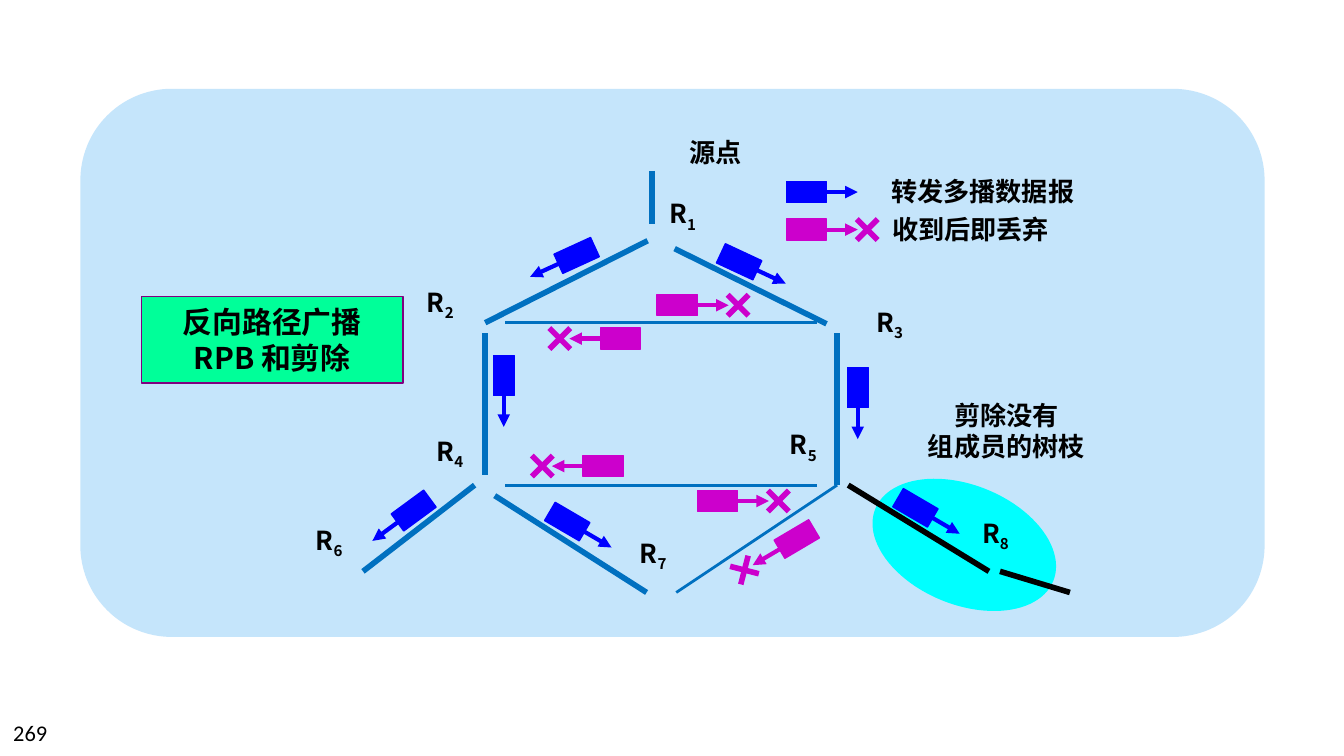
import math

import pptx
import pptx.dml.color
import pptx.enum.shapes
import pptx.enum.text
import pptx.oxml.ns
import pptx.util
from lxml import etree
from pptx.util import Cm

RGBColor = pptx.dml.color.RGBColor
SHAPE = pptx.enum.shapes.MSO_SHAPE
ALIGN = pptx.enum.text.PP_ALIGN
ANCHOR = pptx.enum.text.MSO_ANCHOR
qn = pptx.oxml.ns.qn

BLACK = RGBColor(0x00, 0x00, 0x00)
PANEL = RGBColor(0xC5, 0xE5, 0xFB)
CYAN = RGBColor(0x00, 0xFF, 0xFF)
LINK = RGBColor(0x00, 0x70, 0xC0)
FORWARD = RGBColor(0x00, 0x00, 0xFF)
DISCARD = RGBColor(0xCC, 0x00, 0xCC)
GREEN = RGBColor(0x00, 0xFF, 0x99)
PURPLE = RGBColor(0x80, 0x00, 0x80)
CJK = "Noto Sans CJK SC"

presentation = pptx.Presentation()
presentation.slide_width = Cm(25.4)
presentation.slide_height = Cm(14.29)
slide = presentation.slides.add_slide(presentation.slide_layouts[6])


def add_line(x1, y1, x2, y2, color, width, arrow=False):
    line = slide.shapes.add_connector(
        pptx.enum.shapes.MSO_CONNECTOR.STRAIGHT, Cm(x1), Cm(y1), Cm(x2), Cm(y2))
    line.line.color.rgb = color
    line.line.width = pptx.util.Pt(width)
    if arrow:
        etree.SubElement(line.line._get_or_add_ln(), qn("a:tailEnd"), type="triangle")
    etree.SubElement(line._element.spPr, qn("a:effectLst"))


def add_run(paragraph, text, size, font=CJK, bold=True, subscript=False):
    run = paragraph.add_run()
    run.text = text
    run.font.size = pptx.util.Pt(size)
    run.font.bold = bold
    run.font.name = font
    run.font.color.rgb = BLACK
    properties = run.font._element
    etree.SubElement(properties, qn("a:ea"), typeface=font)
    if subscript:
        properties.set("baseline", "-25000")


# Panel and the pruned branch area
panel = slide.shapes.add_shape(
    SHAPE.ROUNDED_RECTANGLE, Cm(1.52), Cm(1.68), Cm(22.38), Cm(10.36))
pruned_area = slide.shapes.add_shape(
    SHAPE.OVAL, Cm(16.41), Cm(9.17), Cm(3.63), Cm(2.26))
pruned_area.rotation = 22.1
for area, color in ((panel, PANEL), (pruned_area, CYAN)):
    area.shadow.inherit = False
    area.fill.solid()
    area.fill.fore_color.rgb = color
    area.line.fill.background()

# Links between routers
for x1, y1, x2, y2, color, width in (
    (12.32, 3.23, 12.32, 4.24, LINK, 3),      # source to R1
    (9.17, 6.1, 12.24, 4.55, LINK, 3),        # R2 to R1
    (12.75, 4.7, 15.62, 6.12, LINK, 3),       # R1 to R3
    (9.55, 6.1, 15.44, 6.1, LINK, 1.5),       # R2 to R3
    (9.17, 6.3, 9.17, 8.97, LINK, 3),         # R2 to R4
    (15.82, 6.3, 15.82, 9.17, LINK, 3),       # R3 to R5
    (9.55, 9.17, 15.44, 9.17, LINK, 1.5),     # R4 to R5
    (8.97, 9.17, 6.86, 10.8, LINK, 3),        # R4 to R6
    (9.35, 9.37, 12.22, 11.2, LINK, 3),       # R4 to R7
    (15.82, 9.17, 12.78, 11.2, LINK, 1.5),    # R5 to R7
    (16.03, 9.17, 18.69, 10.8, BLACK, 3),     # R5 to R8
    (18.9, 10.8, 20.22, 11.2, BLACK, 3),      # beyond R8
):
    add_line(x1, y1, x2, y2, color, width)

# Datagrams: centre and direction; discarded ones end in a cross
for x, y, angle, color in (
    (15.24, 3.63, 0, FORWARD),                # legend
    (10.9, 4.83, 155.4, FORWARD),
    (13.97, 4.95, 25, FORWARD),
    (9.52, 7.1, 90, FORWARD),
    (16.21, 7.33, 90, FORWARD),
    (7.82, 9.65, 143.7, FORWARD),
    (10.72, 9.86, 30.3, FORWARD),
    (17.3, 9.6, 30.3, FORWARD),
    (15.24, 4.34, 0, DISCARD),                # legend
    (12.8, 5.77, 0, DISCARD),
    (11.73, 6.4, 180, DISCARD),
    (11.4, 8.81, 180, DISCARD),
    (13.56, 9.47, 0, DISCARD),
    (15.06, 10.19, 149.4, DISCARD),
):
    datagram = slide.shapes.add_shape(
        SHAPE.RECTANGLE, Cm(x - 0.38), Cm(y - 0.2), Cm(0.76), Cm(0.4))
    datagram.rotation = (angle - 180) % 360 if angle > 90 else angle
    datagram.shadow.inherit = False
    datagram.fill.solid()
    datagram.fill.fore_color.rgb = color
    datagram.line.color.rgb = color
    datagram.line.width = pptx.util.Pt(0.75)
    dx, dy = math.cos(math.radians(angle)), math.sin(math.radians(angle))
    add_line(x - 0.18 * dx, y - 0.18 * dy, x + 0.97 * dx, y + 0.97 * dy,
             color, 2.25, arrow=True)
    if color == DISCARD:
        cross_x, cross_y = x + 1.15 * dx, y + 1.15 * dy
        for turn in (45, 135):
            arm_x = 0.28 * math.cos(math.radians(angle + turn))
            arm_y = 0.28 * math.sin(math.radians(angle + turn))
            add_line(cross_x - arm_x, cross_y - arm_y,
                     cross_x + arm_x, cross_y + arm_y, color, 3)

# Labels: a second run in a paragraph is the router's subscript
routers = ((12.4, 3.61), (7.82, 5.28), (16.31, 5.66), (8, 8.1),
           (14.68, 7.98), (5.72, 9.78), (11.84, 10.03), (18.31, 9.65))
labels = [(x, y, 1.07, 0.86, ALIGN.LEFT, [["R", str(number)]])
          for number, (x, y) in enumerate(routers, 1)]
labels += [
    (12.78, 2.46, 1.5, 0.86, ALIGN.LEFT, [["源点"]]),
    (16.59, 3.2, 4.01, 0.86, ALIGN.LEFT, [["转发多播数据报"]]),
    (16.61, 3.91, 3.51, 0.86, ALIGN.LEFT, [["收到后即丢弃"]]),
    (17.27, 7.42, 3.51, 1.45, ALIGN.CENTER, [["剪除没有"], ["组成员的树枝"]]),
]
for x, y, width, height, alignment, rows in labels:
    label = slide.shapes.add_textbox(Cm(x), Cm(y), Cm(width), Cm(height)).text_frame
    label.word_wrap = False
    label.auto_size = pptx.enum.text.MSO_AUTO_SIZE.SHAPE_TO_FIT_TEXT
    for row, runs in enumerate(rows):
        paragraph = label.add_paragraph() if row else label.paragraphs[0]
        paragraph.alignment = alignment
        for position, text in enumerate(runs):
            add_run(paragraph, text, 14, subscript=position > 0)

# Topic box
topic = slide.shapes.add_shape(
    SHAPE.RECTANGLE, Cm(2.67), Cm(5.61), Cm(4.95), Cm(1.63))
topic.shadow.inherit = False
topic.fill.solid()
topic.fill.fore_color.rgb = GREEN
topic.line.color.rgb = PURPLE
topic.line.width = pptx.util.Pt(0.75)
topic.text_frame.word_wrap = True
topic.text_frame.vertical_anchor = ANCHOR.MIDDLE
topic.text_frame.paragraphs[0].alignment = ALIGN.CENTER
add_run(topic.text_frame.paragraphs[0], "反向路径广播 RPB 和剪除", 16)

# Page number
page_number = slide.shapes.add_textbox(Cm(0), Cm(13.46), Cm(5.92), Cm(0.76)).text_frame
page_number.word_wrap = True
page_number.vertical_anchor = ANCHOR.MIDDLE
add_run(page_number.paragraphs[0], "269", 12, font="Calibri", bold=False)

presentation.save("out.pptx")
